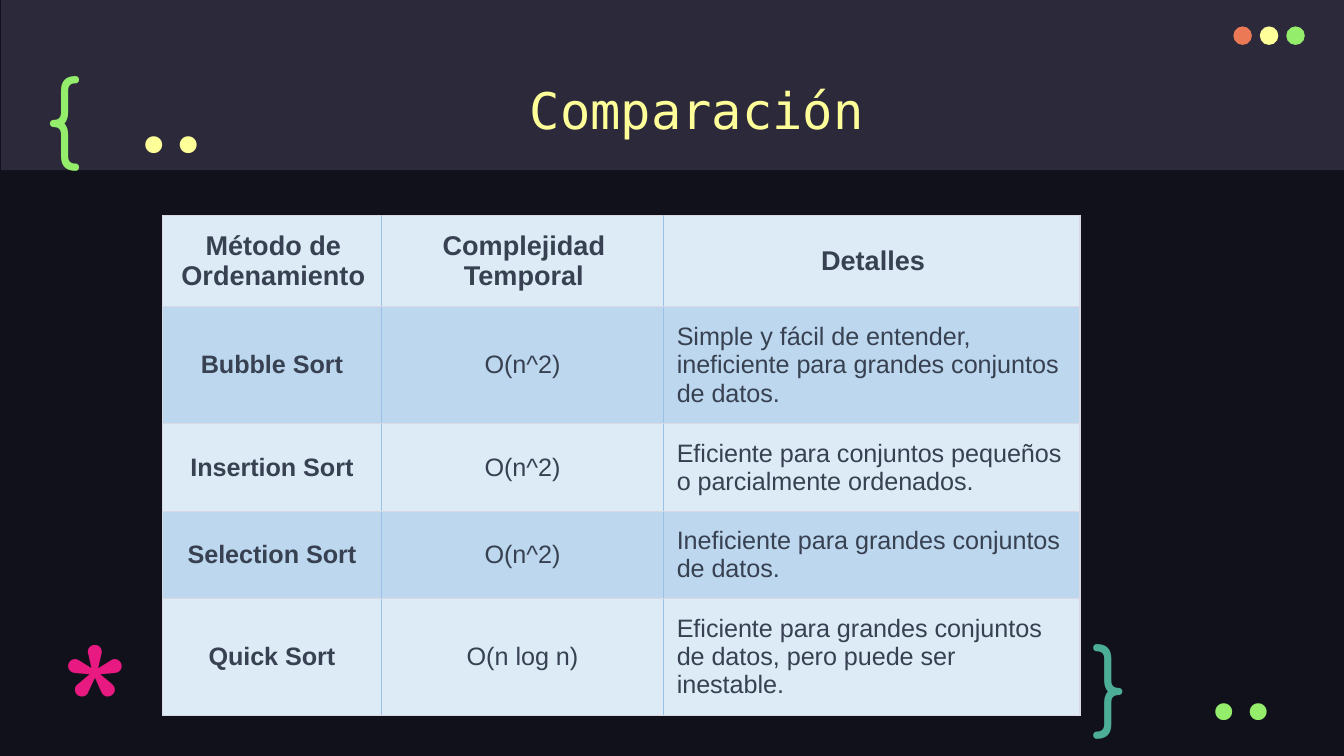
from lxml import etree
from pptx import Presentation
from pptx.dml.color import RGBColor
from pptx.enum.shapes import MSO_SHAPE
from pptx.enum.text import MSO_ANCHOR, MSO_AUTO_SIZE, PP_ALIGN
from pptx.oxml.ns import qn
from pptx.util import Cm, Pt

RECT, OVAL = MSO_SHAPE.RECTANGLE, MSO_SHAPE.OVAL
TOP, MIDDLE = MSO_ANCHOR.TOP, MSO_ANCHOR.MIDDLE
LEFT, CENTER, RIGHT = PP_ALIGN.LEFT, PP_ALIGN.CENTER, PP_ALIGN.RIGHT
NO_FIT = MSO_AUTO_SIZE.NONE

NIGHT = RGBColor(0x10, 0x11, 0x1A)
PLUM = RGBColor(0x2C, 0x29, 0x3A)
YELLOW = RGBColor(0xFF, 0xFF, 0x99)
GREEN = RGBColor(0x94, 0xEE, 0x6B)
TEAL = RGBColor(0x4C, 0xAE, 0x97)
ORANGE = RGBColor(0xEC, 0x79, 0x55)
PINK = RGBColor(0xE8, 0x1A, 0x81)
SLATE = RGBColor(0x37, 0x41, 0x51)
PALE = RGBColor(0xDD, 0xEB, 0xF7)
SKY = RGBColor(0xBD, 0xD7, 0xEE)
GRAY = RGBColor(0xD9, 0xD9, 0xE3)
BLUE = RGBColor(0x9B, 0xC2, 0xE6)

PAD = Cm(0.25)
COLS = [4.14, 5.33, 7.87]
ROWS = [1.42, 2.08, 1.65, 1.65, 2.11]
DATA = [
    ["Método de Ordenamiento", "Complejidad Temporal", "Detalles"],
    ["Bubble Sort", "O(n^2)",
     "Simple y fácil de entender, ineficiente para grandes conjuntos de datos."],
    ["Insertion Sort", "O(n^2)",
     "Eficiente para conjuntos pequeños o parcialmente ordenados."],
    ["Selection Sort", "O(n^2)", "Ineficiente para grandes conjuntos de datos."],
    ["Quick Sort", "O(n log n)",
     "Eficiente para grandes conjuntos de datos, pero puede ser inestable."],
]


def style(frame, text, face, size, color, align=LEFT, bold=False):
    frame.text = text
    para = frame.paragraphs[0]
    para.alignment = align
    font = para.runs[0].font
    font.name, font.size, font.bold = face, Pt(size), bold
    font.color.rgb = color


def inset(item):
    item.margin_left = item.margin_right = PAD
    item.margin_top = item.margin_bottom = PAD


def add_shape(shapes, kind, box, color):
    shape = shapes.add_shape(kind, *map(Cm, box))
    shape.shadow.inherit = False
    shape.fill.solid()
    shape.fill.fore_color.rgb = color
    shape.line.fill.background()
    return shape


def add_mark(slide, box, text, face, size, color, align=LEFT, anchor=TOP):
    frame = slide.shapes.add_textbox(*map(Cm, box)).text_frame
    frame.word_wrap = True
    frame.vertical_anchor = anchor
    inset(frame)
    style(frame, text, face, size, color, align)


def add_title(slide, box, band):
    title = slide.shapes.title
    title.left, title.top, title.width, title.height = map(Cm, box)
    frame = title.text_frame
    frame.auto_size = NO_FIT
    frame.vertical_anchor = TOP
    inset(frame)
    style(frame, "Comparación", "DejaVu Sans Mono", 27, YELLOW, CENTER)
    band._element.addnext(title._element)


def add_lights(slide, box):
    left, top, width, size = box
    group = slide.shapes.add_group_shape()
    colors = [ORANGE, YELLOW, GREEN]
    step = (width - size) / (len(colors) - 1)
    for i, color in enumerate(colors):
        add_shape(group.shapes, OVAL, (left + i * step, top, size, size), color)


def add_edge(cell, side, color):
    props = cell._tc.get_or_add_tcPr()
    line = etree.SubElement(props, qn("a:" + side), w=str(Pt(0.67)))
    fill = etree.SubElement(line, qn("a:solidFill"))
    etree.SubElement(fill, qn("a:srgbClr"), val=str(color))


def fill_cell(cell, text, row, col):
    head = row == 0
    align = LEFT if col == 2 and not head else CENTER
    style(cell.text_frame, text, "Arial", 14.5 if head else 13.5, SLATE,
          align, head or col == 0)
    if head:
        para = cell.text_frame.paragraphs[0]
        para._p.get_or_add_pPr().set("marL", str(Cm(0.05)))
    cell.vertical_anchor = MIDDLE
    inset(cell)
    add_edge(cell, "lnL", BLUE if col else GRAY)
    add_edge(cell, "lnR", BLUE if col < len(COLS) - 1 else GRAY)
    add_edge(cell, "lnT", GRAY)
    add_edge(cell, "lnB", GRAY)
    cell.fill.solid()
    cell.fill.fore_color.rgb = SKY if row % 2 else PALE


def add_grid(slide, box):
    frame = slide.shapes.add_table(len(ROWS), len(COLS), *map(Cm, box))
    table = frame.table
    for col, width in zip(table.columns, COLS):
        col.width = Cm(width)
    for row, height in zip(table.rows, ROWS):
        row.height = Cm(height)
    frame.width, frame.height = map(Cm, box[2:])
    for r, line in enumerate(DATA):
        for c, text in enumerate(line):
            fill_cell(table.cell(r, c), text, r, c)


def main():
    deck = Presentation()
    deck.slide_width, deck.slide_height = Cm(25.4), Cm(14.29)
    slide = deck.slides.add_slide(deck.slide_layouts[5])
    slide.background.fill.solid()
    slide.background.fill.fore_color.rgb = NIGHT
    band = add_shape(slide.shapes, RECT, (0.02, 0, 25.4, 3.22), PLUM)
    add_title(slide, (2, 1.25, 22.33, 1.6), band)
    add_mark(slide, (0.62, 0.82, 1.96, 2.41), "{", "Comfortaa", 50, GREEN)
    add_mark(slide, (20.4, 11.54, 1.45, 2.11), "}", "Comfortaa", 50, TEAL)
    add_mark(slide, (22.09, 12.13, 2.72, 1.52), "..", "Fira Code", 50, GREEN,
             RIGHT, MIDDLE)
    add_mark(slide, (1.85, 1.42, 2.72, 1.52), "..", "Fira Code", 50, YELLOW,
             RIGHT, MIDDLE)
    add_lights(slide, (23.31, 0.5, 1.35, 0.35))
    add_mark(slide, (0.89, 11.21, 1.45, 2.21), "*", "Comfortaa", 96, PINK)
    add_grid(slide, (3.07, 4.07, 8.33, 8.33))
    deck.save("out.pptx")


if __name__ == "__main__":
    main()
